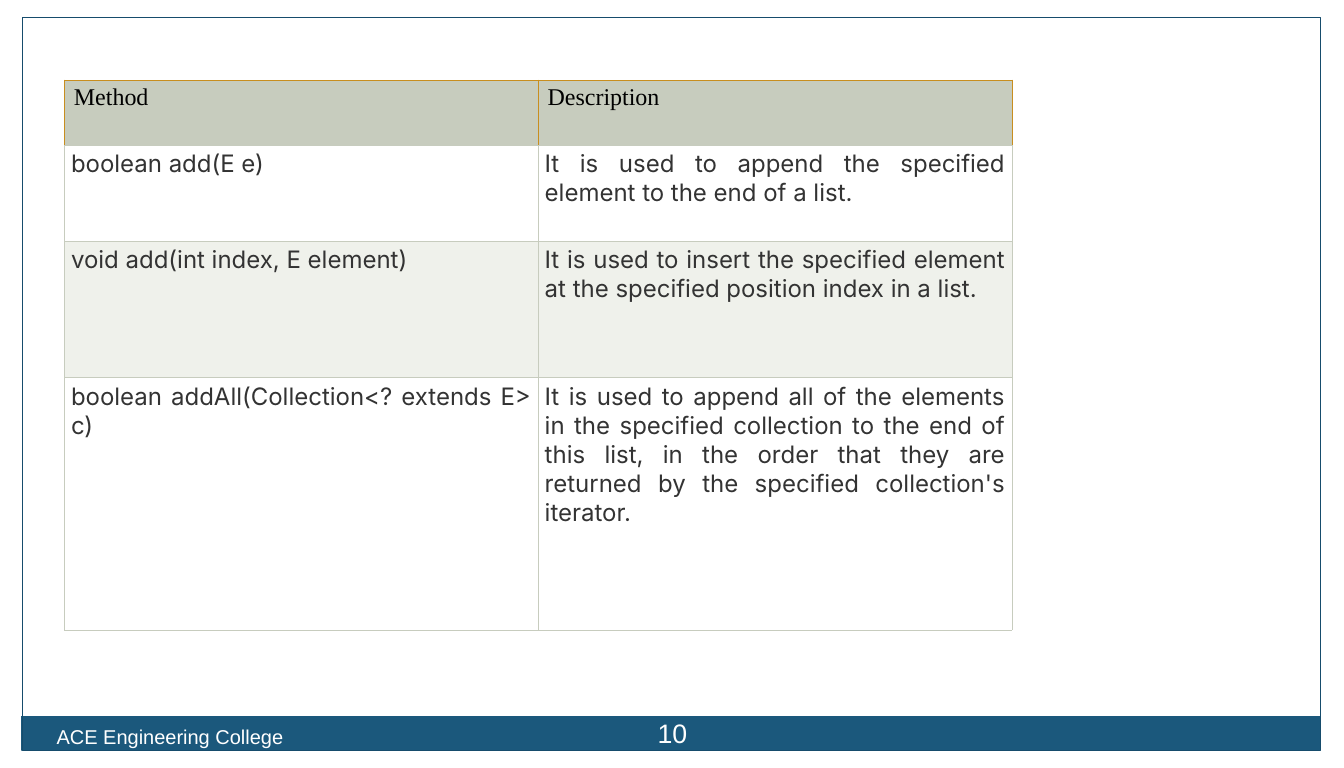
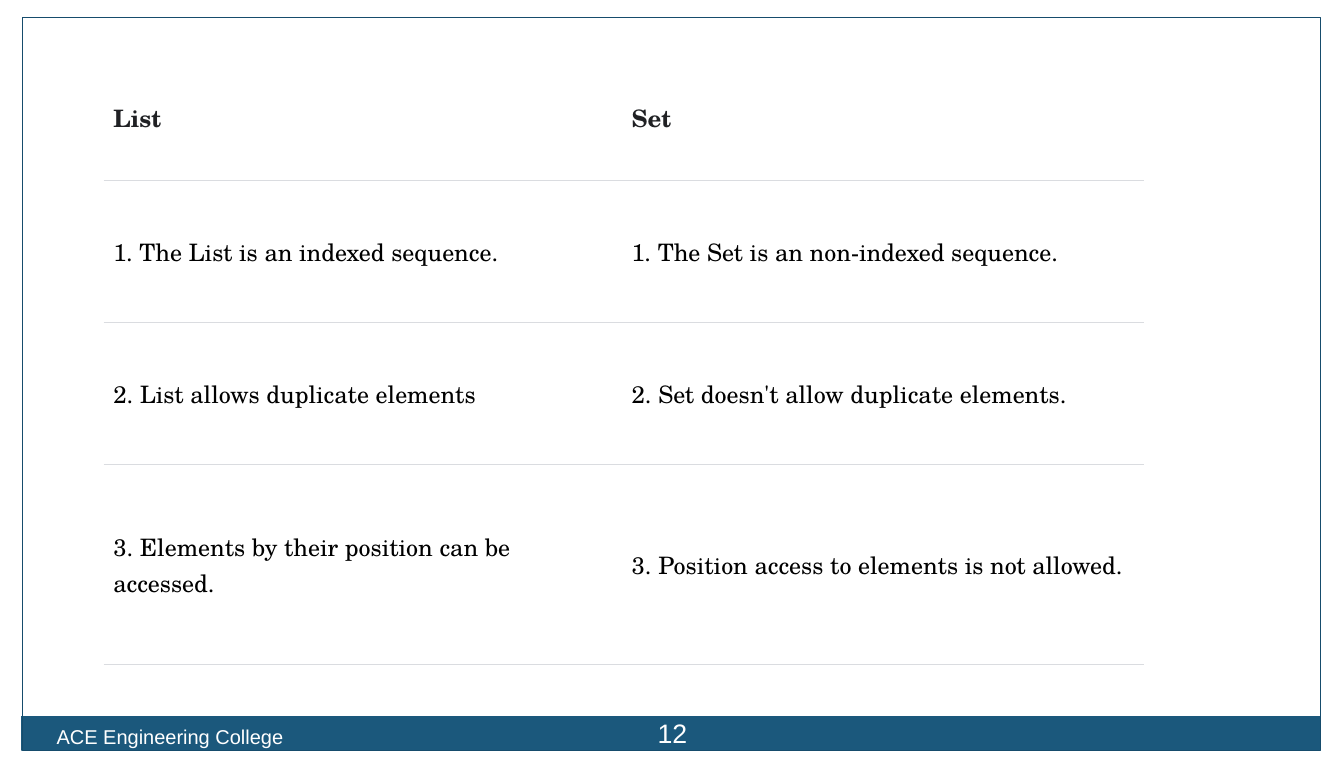
from dataclasses import dataclass

from lxml.etree import SubElement
from pptx import Presentation
from pptx.dml.color import RGBColor
from pptx.enum.shapes import MSO_SHAPE
from pptx.enum.text import MSO_ANCHOR, PP_ALIGN
from pptx.oxml.ns import qn
from pptx.util import Inches, Pt


@dataclass(frozen=True)
class Theme:
    band: str = "1B587C"
    frame: str = "164C6C"
    white: str = "FFFFFF"
    black: str = "000000"
    body: str = "333333"
    ink: str = "202124"
    sage: str = "C7CCBE"
    sage_light: str = "EFF1EB"
    amber: str = "C88E1F"
    rule: str = "DADCE0"
    sans: str = "Arial"
    serif: str = "Times New Roman"
    code: str = "Inter"
    book: str = "TeX Gyre Schola"
    footer_size: float = 15
    number_size: float = 20
    table_size: float = 18
    table_leading: float = 27
    frame_width: float = 0.75
    border_width: float = 0.28


@dataclass(frozen=True)
class CellStyle:
    font: str
    color: str
    borders: dict
    fill: str = None
    bold: bool = False
    align: PP_ALIGN = PP_ALIGN.LEFT
    anchor: MSO_ANCHOR = MSO_ANCHOR.TOP
    margins: tuple = (0.1, 0.05, 0.1, 0.05)
    leading: float = None


class Deck:
    def __init__(self, theme):
        self.theme = theme
        self.prs = Presentation()
        self.prs.slide_width = Inches(14)
        self.prs.slide_height = Inches(8)
        self.s = None

    def new_slide(self, number):
        t = self.theme
        self.s = self.prs.slides.add_slide(self.prs.slide_layouts[6])
        for margin in ((0, 0, 14, 0.18), (13.77, 0, 0.23, 8), (0, 0, 0.23, 8)):
            self.rect(*margin, fill=t.white)
        self.rect(0.22, 7.46, 13.53, 0.36, fill=t.band)
        self.rect(0.23, 0.18, 13.53, 7.64, line=t.frame)
        self.text("ACE Engineering College", 0.46, 7.49, 5.48, 0.43,
                  t.footer_size, (0.13, 0.06, 0.13, 0.06))
        self.text(str(number), 6.54, 7.38, 0.93, 0.51, t.number_size,
                  (0.06,) * 4, PP_ALIGN.CENTER, MSO_ANCHOR.MIDDLE)

    def rect(self, x, y, w, h, fill=None, line=None):
        sp = self.s.shapes.add_shape(
            MSO_SHAPE.RECTANGLE, Inches(x), Inches(y), Inches(w), Inches(h))
        sp.shadow.inherit = False
        self.paint(sp.fill, fill)
        self.paint(sp.line.fill, line)
        if line:
            sp.line.width = Pt(self.theme.frame_width)

    def text(self, text, x, y, w, h, size, margins,
             align=PP_ALIGN.LEFT, anchor=MSO_ANCHOR.TOP):
        sp = self.s.shapes.add_textbox(Inches(x), Inches(y), Inches(w), Inches(h))
        tf = sp.text_frame
        tf.word_wrap = True
        tf.vertical_anchor = anchor
        self.set_margins(tf, margins)
        p = tf.paragraphs[0]
        p.text = text
        p.alignment = align
        self.set_font(p, self.theme.sans, size, self.theme.white)

    def table(self, x, y, width, heights, rows, style_for):
        cols = len(rows[0])
        table = self.s.shapes.add_table(
            len(rows), cols, Inches(x), Inches(y),
            Inches(width), Inches(sum(heights))).table
        for column in table.columns:
            column.width = Inches(width / cols)
        for r, (height, row) in enumerate(zip(heights, rows)):
            table.rows[r].height = Inches(height)
            for c, text in enumerate(row):
                self.cell(table.cell(r, c), text, style_for(r, c))

    def cell(self, cell, text, style):
        p = cell.text_frame.paragraphs[0]
        p.text = text
        p.alignment = style.align
        if style.leading:
            p.line_spacing = Pt(style.leading)
        self.set_font(p, style.font, self.theme.table_size, style.color, style.bold)
        self.set_margins(cell, style.margins)
        cell.vertical_anchor = style.anchor
        self.set_borders(cell, style.borders)
        self.paint(cell.fill, style.fill)

    def set_borders(self, cell, borders):
        tcPr = cell._tc.get_or_add_tcPr()
        for side in "LRTB":
            ln = SubElement(tcPr, qn(f"a:ln{side}"))
            if side in borders:
                ln.set("w", str(Pt(self.theme.border_width)))
                fill = SubElement(ln, qn("a:solidFill"))
                SubElement(fill, qn("a:srgbClr")).set("val", borders[side])
            else:
                SubElement(ln, qn("a:noFill"))

    @staticmethod
    def paint(fill, color):
        if color:
            fill.solid()
            fill.fore_color.rgb = RGBColor.from_string(color)
        else:
            fill.background()

    @staticmethod
    def set_margins(target, margins):
        left, top, right, bottom = map(Inches, margins)
        target.margin_left, target.margin_top = left, top
        target.margin_right, target.margin_bottom = right, bottom

    @staticmethod
    def set_font(p, name, size, color, bold=False):
        p.font.name = name
        p.font.size = Pt(size)
        p.font.bold = bold
        p.font.color.rgb = RGBColor.from_string(color)


METHODS = [
    ("Method", "Description"),
    ("boolean add(E e)",
     "It is used to append the specified element to the end of a list."),
    ("void add(int index, E element)",
     "It is used to insert the specified element at the specified position "
     "index in a list."),
    ("boolean addAll(Collection<? extends E> c)",
     "It is used to append all of the elements in the specified collection to "
     "the end of this list, in the order that they are returned by the "
     "specified collection's iterator."),
]

LIST_VS_SET = [
    ("List", "Set"),
    ("1. The List is an indexed sequence.",
     "1. The Set is an non-indexed sequence."),
    ("2. List allows duplicate elements",
     "2. Set doesn't allow duplicate elements."),
    ("3. Elements by their position can be accessed.",
     "3. Position access to elements is not allowed."),
]


def methods_slide(deck):
    t = deck.theme

    def style_for(row, col):
        if row == 0:
            return CellStyle(t.serif, t.black,
                             {**dict.fromkeys("LRT", t.amber), "B": t.sage},
                             fill=t.sage)
        return CellStyle(t.code, t.body, dict.fromkeys("LRTB", t.sage),
                         fill=t.white if row % 2 else t.sage_light,
                         align=PP_ALIGN.JUSTIFY,
                         margins=(0.07, 0.05, 0.07, 0.05))

    deck.new_slide(10)
    deck.table(0.67, 0.83, 9.87, (0.68, 1, 1.42, 2.63), METHODS, style_for)


def comparison_slide(deck):
    t = deck.theme

    def style_for(row, col):
        header = row == 0
        return CellStyle(t.book, t.ink if header else t.black,
                         dict.fromkeys("B" if header else "TB", t.rule),
                         bold=header,
                         anchor=MSO_ANCHOR.TOP if header else MSO_ANCHOR.MIDDLE,
                         margins=(0.08 if col else 0.1, 0.05, 0.08, 0.05),
                         leading=t.table_leading)

    deck.new_slide(12)
    deck.table(1.08, 1, 10.84, (0.88, 1.48, 1.48, 2.08), LIST_VS_SET, style_for)


def main():
    deck = Deck(Theme())
    methods_slide(deck)
    comparison_slide(deck)
    deck.prs.save("out.pptx")


if __name__ == "__main__":
    main()
